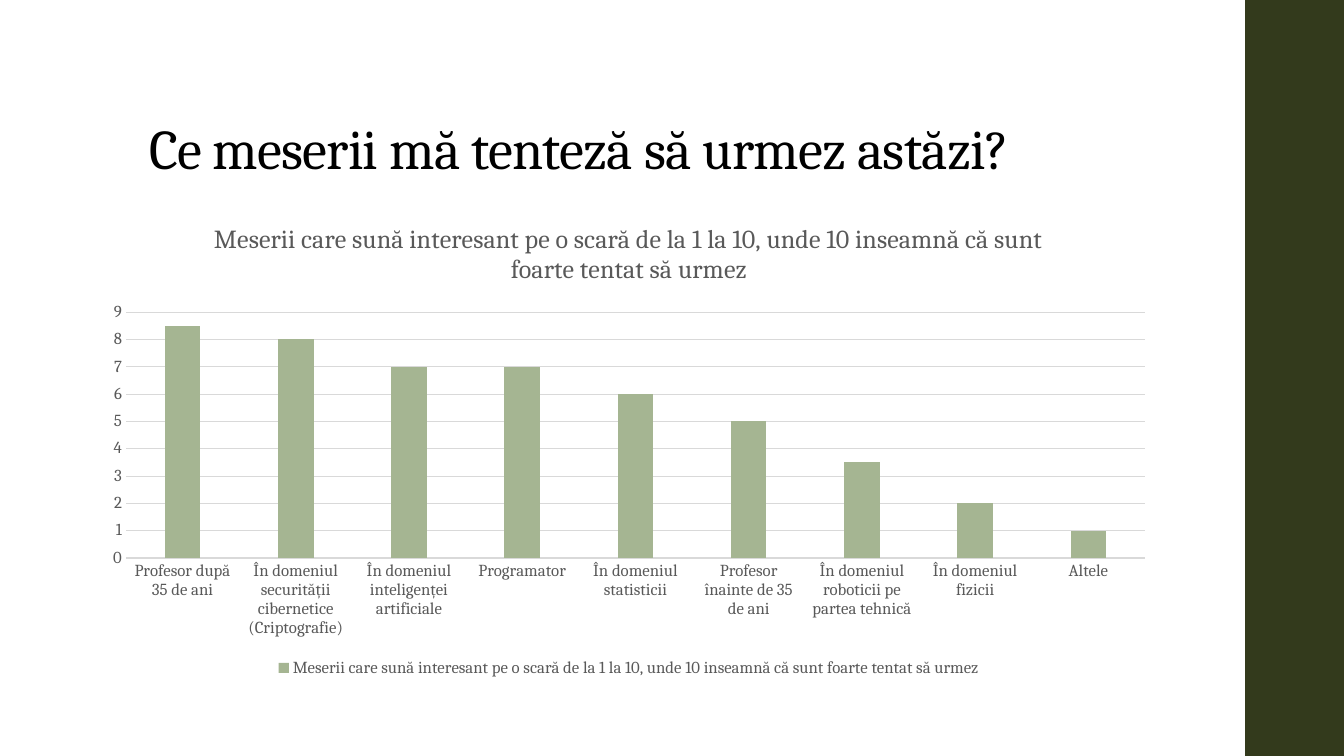
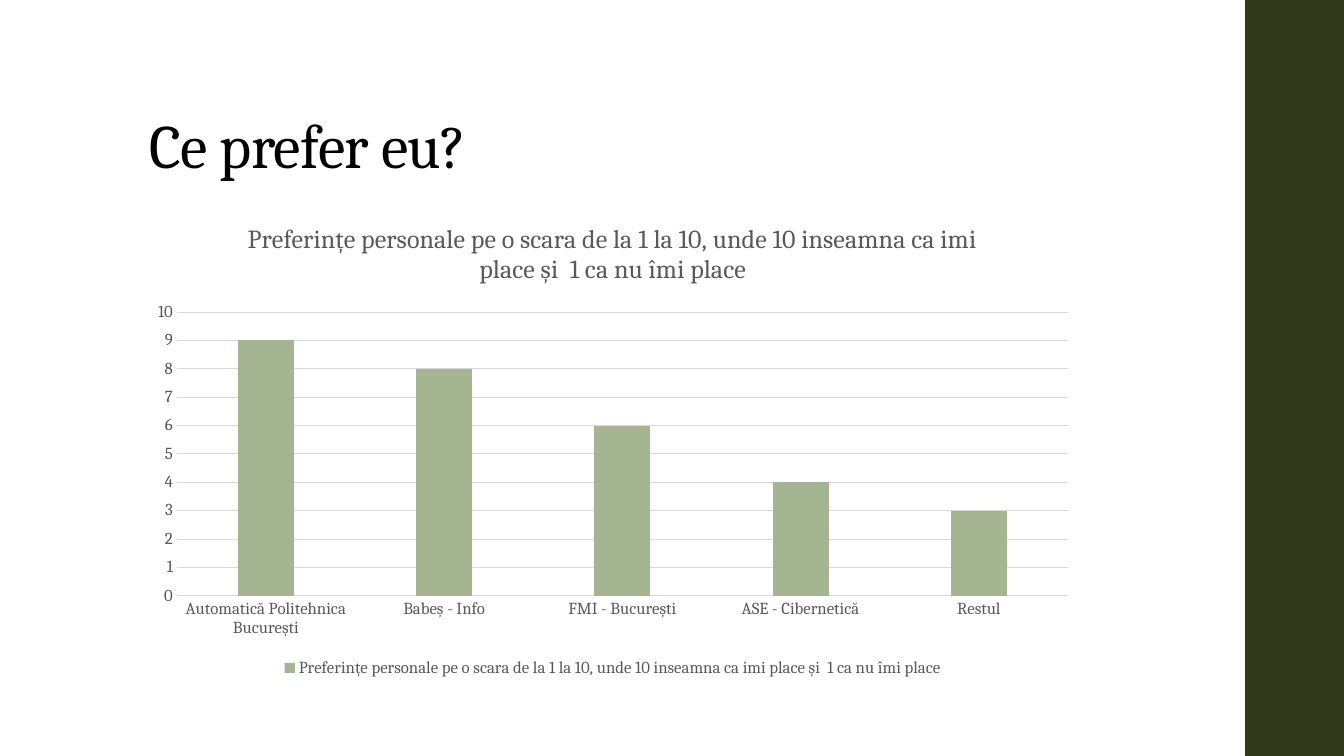
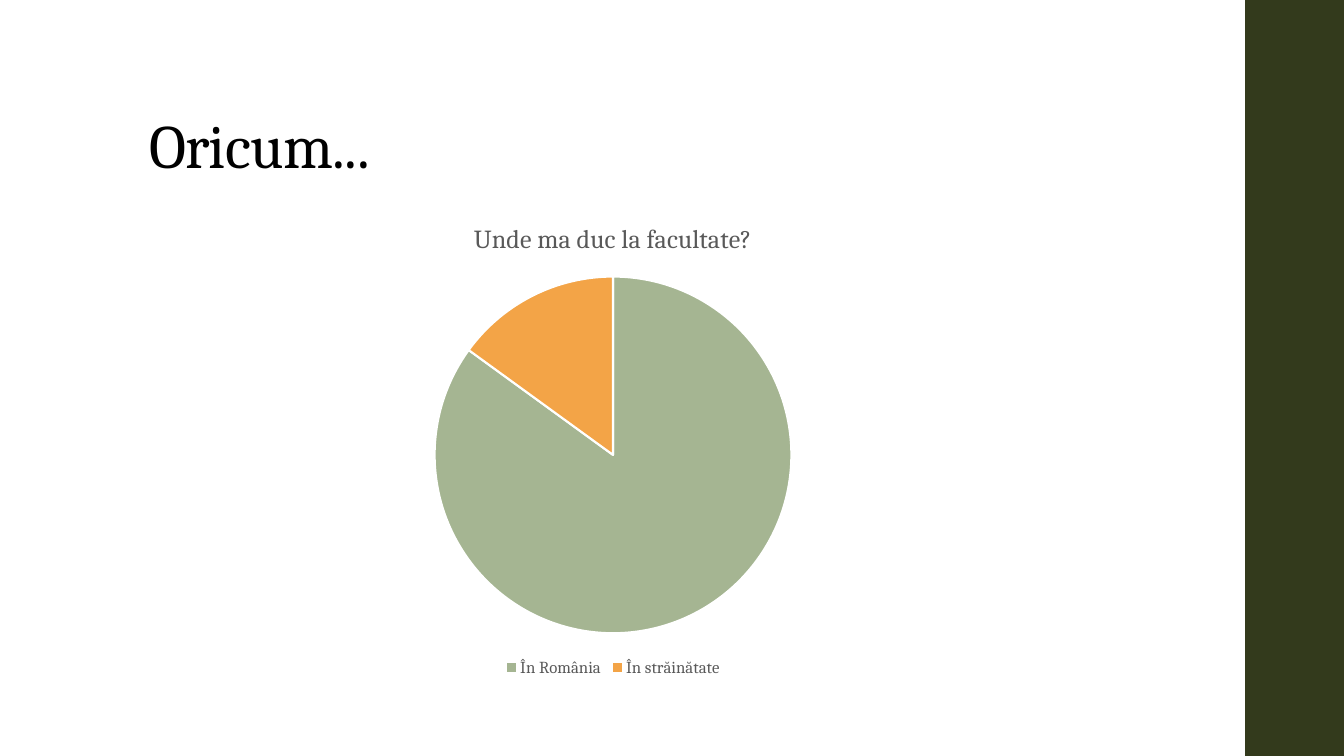
from pptx import Presentation
from pptx.chart.data import CategoryChartData
from pptx.dml.color import RGBColor
from pptx.enum.chart import XL_CHART_TYPE as ChartType, XL_LEGEND_POSITION as LegendPosition, XL_TICK_MARK as TickMark
from pptx.enum.shapes import MSO_SHAPE as Shape
from pptx.enum.text import MSO_ANCHOR as Anchor
from pptx.util import Emu, Pt

PX = 9144
FONT = "Cambria"
COLORS = {
    "band": "333A1C",
    "title": "000000",
    "label": "595959",
    "grid": "D9D9D9",
    "sage": "A5B592",
    "orange": "F3A447",
    "white": "FFFFFF",
}
SLIDE_SIZE = (1333, 750)
BAND_BOX = (1235, 0, 100, 750)
TITLE_BOX = (138, 40, 1060, 145)
WIDE_CHART = (91, 200, 1066, 476)
CHART = (138, 200, 940, 476)

SLIDES = [
    {
        "title": "Ce meserii mă tenteză să urmez astăzi?",
        "size": 40,
        "type": ChartType.COLUMN_CLUSTERED,
        "box": WIDE_CHART,
        "overlap": 0,
        "maximum": 9,
        "name": "Meserii care sună interesant pe o scară de la 1 la 10, unde 10 inseamnă că sunt foarte tentat să urmez",
        "values": {
            "Profesor după 35 de ani": 8.5,
            "În domeniul securității cibernetice (Criptografie)": 8,
            "În domeniul inteligenței artificiale": 7,
            "Programator": 7,
            "În domeniul statisticii": 6,
            "Profesor înainte de 35 de ani": 5,
            "În domeniul roboticii pe partea tehnică": 3.5,
            "În domeniul fizicii": 2,
            "Altele": 1,
        },
    },
    {
        "title": "Ce prefer eu?",
        "size": 44,
        "type": ChartType.COLUMN_CLUSTERED,
        "box": CHART,
        "overlap": -27,
        "maximum": 10,
        "name": "Preferințe personale pe o scara de la 1 la 10, unde 10 inseamna ca imi place și  1 ca nu îmi place",
        "values": {
            "Automatică Politehnica București": 9,
            "Babeș - Info": 8,
            "FMI - București": 6,
            "ASE - Cibernetică": 4,
            "Restul": 3,
        },
    },
    {
        "title": "Oricum...",
        "size": 44,
        "type": ChartType.PIE,
        "box": CHART,
        "name": "Unde ma duc la facultate?",
        "values": {"În România": 85, "În străinătate": 15},
    },
]


def emu(box):
    return [Emu(length * PX) for length in box]


def color(name):
    return RGBColor.from_string(COLORS[name])


def set_font(font, size, color_name):
    font.name = FONT
    font.size = Pt(size)
    font.bold = False
    font.color.rgb = color(color_name)


def set_fill(fill, color_name):
    fill.solid()
    fill.fore_color.rgb = color(color_name)


def set_line(line, color_name, width):
    line.color.rgb = color(color_name)
    line.width = Pt(width)


def add_band(slide):
    band = slide.shapes.add_shape(Shape.RECTANGLE, *emu(BAND_BOX))
    band.shadow.inherit = False
    set_fill(band.fill, "band")
    band.line.fill.background()


def add_title(slide, text, size):
    frame = slide.shapes.add_textbox(*emu(TITLE_BOX)).text_frame
    frame.word_wrap = True
    frame.vertical_anchor = Anchor.BOTTOM
    paragraph = frame.paragraphs[0]
    run = paragraph.add_run()
    run.text = text
    run._r.get_or_add_rPr().set("spc", "-50")
    paragraph.line_spacing = 0.9
    set_font(paragraph.font, size, "title")


def style_columns(chart, content):
    plot = chart.plots[0]
    plot.gap_width = 219
    plot.overlap = content["overlap"]
    set_fill(plot.series[0].format.fill, "sage")
    for axis in (chart.category_axis, chart.value_axis):
        axis.major_tick_mark = axis.minor_tick_mark = TickMark.NONE
        set_font(axis.tick_labels.font, 12, "label")
    set_line(chart.category_axis.format.line, "grid", 0.75)
    value_axis = chart.value_axis
    value_axis.minimum_scale = 0
    value_axis.maximum_scale = content["maximum"]
    value_axis.major_unit = 1
    value_axis.format.line.fill.background()
    set_line(value_axis.major_gridlines.format.line, "grid", 0.75)


def style_pie(chart):
    for index, color_name in enumerate(("sage", "orange")):
        slice_format = chart.plots[0].series[0].points[index].format
        set_fill(slice_format.fill, color_name)
        set_line(slice_format.line, "white", 1.5)


def add_chart(slide, content):
    data = CategoryChartData()
    data.categories = list(content["values"])
    data.add_series(content["name"], list(content["values"].values()))
    chart = slide.shapes.add_chart(content["type"], *emu(content["box"]), data).chart
    set_font(chart.font, 10, "title")
    chart.has_title = True
    title_frame = chart.chart_title.text_frame
    title_frame.text = content["name"]
    set_font(title_frame.paragraphs[0].font, 18.6, "label")
    chart.has_legend = True
    chart.legend.position = LegendPosition.BOTTOM
    chart.legend.include_in_layout = False
    set_font(chart.legend.font, 12, "label")
    is_pie = content["type"] == ChartType.PIE
    chart.plots[0].vary_by_categories = is_pie
    if is_pie:
        style_pie(chart)
    else:
        style_columns(chart, content)


def main():
    presentation = Presentation()
    presentation.slide_width, presentation.slide_height = emu(SLIDE_SIZE)
    for content in SLIDES:
        slide = presentation.slides.add_slide(presentation.slide_layouts[6])
        add_band(slide)
        add_title(slide, content["title"], content["size"])
        add_chart(slide, content)
    presentation.save("out.pptx")


if __name__ == "__main__":
    main()
